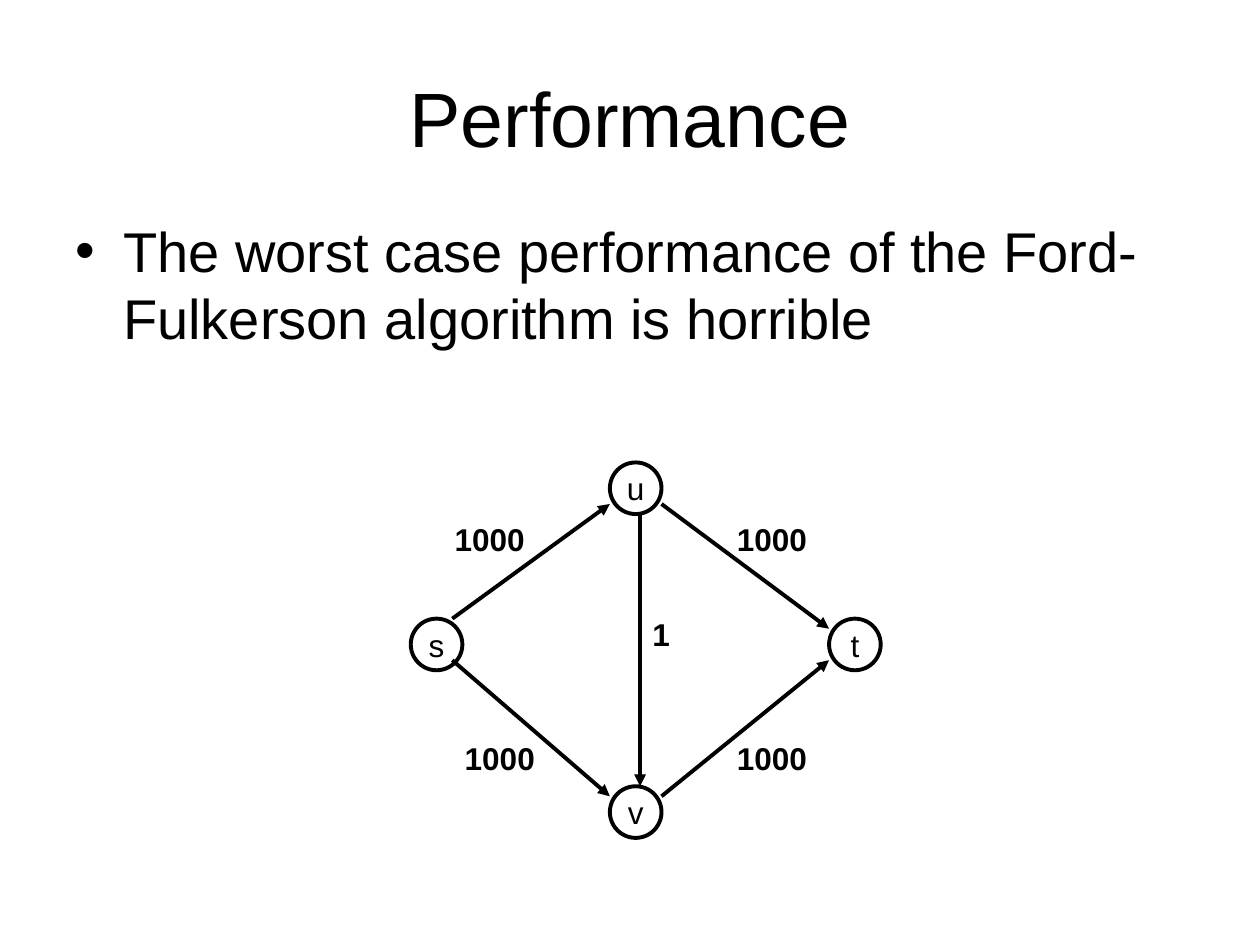
from lxml import etree
from pptx import Presentation
from pptx.dml.color import RGBColor
from pptx.enum.shapes import MSO_CONNECTOR, MSO_SHAPE
from pptx.enum.text import MSO_ANCHOR, PP_ALIGN
from pptx.oxml.ns import qn
from pptx.util import Inches, Pt

BLACK = RGBColor(0, 0, 0)
OVAL = MSO_SHAPE.OVAL
STRAIGHT = MSO_CONNECTOR.STRAIGHT
MIDDLE, TOP = MSO_ANCHOR.MIDDLE, MSO_ANCHOR.TOP
CENTER, LEFT = PP_ALIGN.CENTER, PP_ALIGN.LEFT
NODE_SIZE = 0.41
LINE_WIDTH = 2.25

NODES = [("u", 4.84, 3.67), ("s", 3.26, 4.91), ("t", 6.58, 4.91), ("v", 4.84, 6.24)]
EDGES = [
    (3.59, 4.91, 4.84, 4),
    (3.59, 5.24, 4.84, 6.32),
    (5.08, 4.08, 5.08, 6.24),
    (5.25, 4, 6.58, 4.99),
    (5.25, 6.32, 6.58, 5.24),
]
CAPACITIES = [
    ("1000", 3.51, 4.08),
    ("1000", 5.75, 5.82),
    ("1", 5.08, 4.83),
    ("1000", 5.75, 4.08),
    ("1000", 3.59, 5.82),
]


def write_text(shape, text, size, bold=False, align=LEFT, anchor=TOP, wrap=True):
    """Fill a shape with one formatted paragraph and return the paragraph."""
    frame = shape.text_frame
    frame.word_wrap = wrap
    frame.vertical_anchor = anchor
    para = frame.paragraphs[0]
    para.alignment = align
    span = para.add_run()
    span.text = text
    for name, value in {"name": "Arial", "size": Pt(size), "bold": bold}.items():
        setattr(span.font, name, value)
    span.font.color.rgb = BLACK
    return para


def add_text(page, place, text, size, **formats):
    """Add a text box and return its paragraph."""
    box = page.shapes.add_textbox(*map(Inches, place))
    return write_text(box, text, size, **formats)


def add_bullet(para, indent):
    """Give a paragraph a round bullet with a hanging indent."""
    properties = para._p.get_or_add_pPr()
    properties.set("marL", str(Inches(indent)))
    properties.set("indent", str(-Inches(indent)))
    etree.SubElement(properties, qn("a:buFont")).set("typeface", "Arial")
    etree.SubElement(properties, qn("a:buChar")).set("char", "•")


def style_line(line):
    """Draw a line in the diagram's black stroke."""
    line.color.rgb = BLACK
    line.width = Pt(LINE_WIDTH)


def add_node(page, name, left, top):
    """Add a labelled circle of the graph."""
    node = page.shapes.add_shape(OVAL, *map(Inches, (left, top, NODE_SIZE, NODE_SIZE)))
    node.shadow.inherit = False
    node.fill.background()
    style_line(node.line)
    write_text(node, name, 18, align=CENTER, anchor=MIDDLE, wrap=False)


def add_edge(page, ends):
    """Add a directed edge with an arrowhead at its end."""
    edge = page.shapes.add_connector(STRAIGHT, *map(Inches, ends))
    style_line(edge.line)
    etree.SubElement(edge.line._get_or_add_ln(), qn("a:tailEnd")).set("type", "triangle")
    etree.SubElement(edge._element.spPr, qn("a:effectLst"))


def main():
    """Build the slide and save it."""
    deck = Presentation()
    deck.slide_width, deck.slide_height = Inches(10), Inches(7.5)
    page = deck.slides.add_slide(deck.slide_layouts[6])
    add_text(page, (0.5, 0.3, 9, 1.25), "Performance", 44, align=CENTER, anchor=MIDDLE)
    statement = "The worst case performance of the Ford-Fulkerson algorithm is horrible"
    add_bullet(add_text(page, (0.5, 1.67, 9, 1.5), statement, 32), 0.38)
    for node in NODES:
        add_node(page, *node)
    for ends in EDGES:
        add_edge(page, ends)
    for text, left, top in CAPACITIES:
        add_text(page, (left, top, 1, 0.4), text, 18, bold=True)
    deck.save("out.pptx")


if __name__ == "__main__":
    main()
